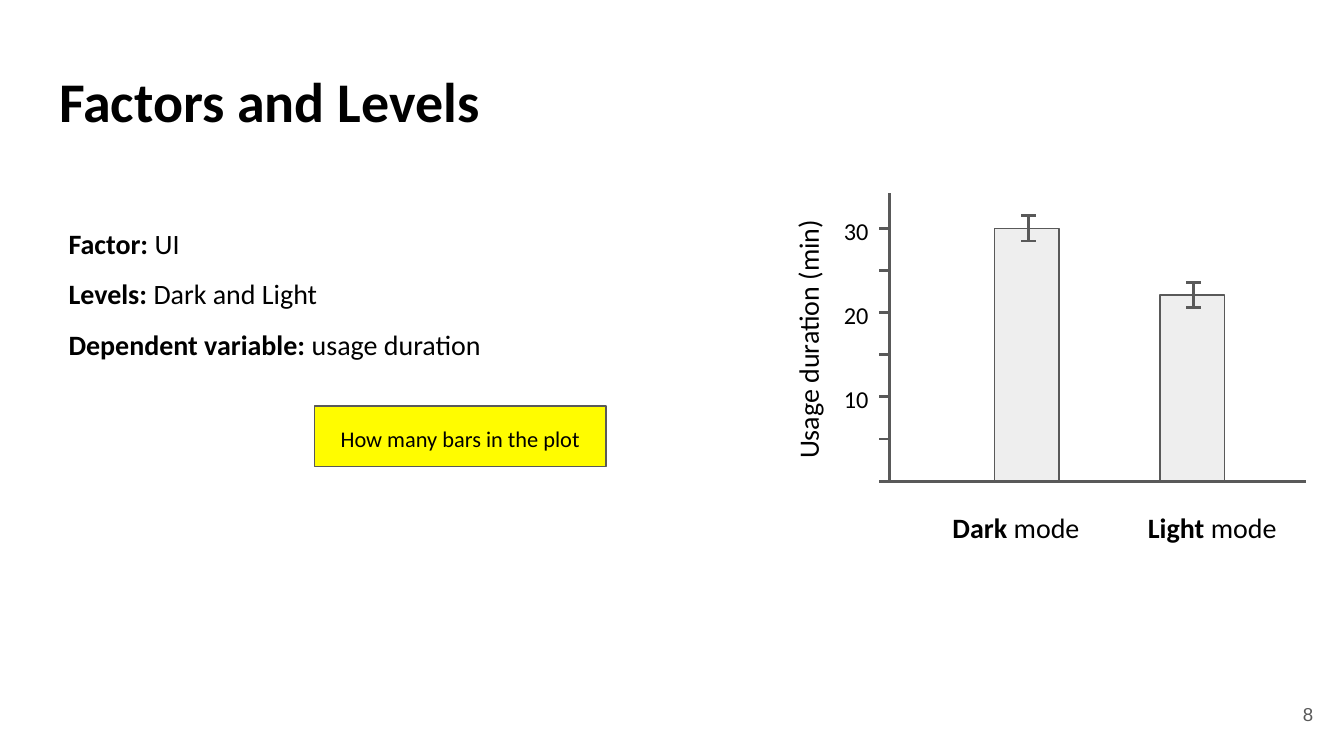
from lxml.etree import SubElement
from pptx import Presentation
from pptx.dml.color import RGBColor
from pptx.enum.shapes import MSO_CONNECTOR, MSO_SHAPE
from pptx.enum.text import MSO_ANCHOR as Anchor, MSO_AUTO_SIZE, PP_ALIGN as Align
from pptx.oxml.ns import qn
from pptx.util import Inches, Pt

TITLE = "Factors and Levels"
FACTS = [
    ("Factor: ", "UI"),
    ("Levels: ", "Dark and Light"),
    ("Dependent variable: ", "usage duration"),
]
QUESTION = "How many bars in the plot"
AXIS_TITLE = "Usage duration (min)"
BARS = [
    {"name": "Dark ", "value": 30, "center": 7.64, "label_center": 7.56},
    {"name": "Light ", "value": 22.1, "center": 8.87, "label_center": 9.02},
]
PAGE = "8"

BLACK, GRAY, BAR_FILL, YELLOW = "000000", "595959", "EEEEEE", "FFFC00"
SLIDE_WIDTH = 10
SLIDE_HEIGHT = SLIDE_WIDTH * 9 / 16
AXIS_X, AXIS_TOP, AXIS_RIGHT, BASE_Y = 6.62, 1.44, 9.72, 3.58
INCHES_PER_MINUTE = 1.88 / 30
MAX_VALUE, TICK_STEP, LABEL_STEP, TICK_LENGTH = 30, 5, 10, 0.08
BAR_WIDTH, ERROR, CAP_HALF = 0.48, 1.5, 0.055


def color(hex_string):
    return RGBColor.from_string(hex_string)


def value_y(value):
    return BASE_Y - value * INCHES_PER_MINUTE


def place(shape, left, top, width, height):
    shape.left, shape.top = Inches(left), Inches(top)
    shape.width, shape.height = Inches(width), Inches(height)


def write(shape, paragraphs, size, align=Align.LEFT, anchor=Anchor.TOP,
          spacing=1.2, after=10, font="Calibri", ink=BLACK):
    frame = shape.text_frame
    frame.word_wrap = True
    frame.auto_size = MSO_AUTO_SIZE.NONE
    frame.vertical_anchor = anchor
    frame.margin_left = frame.margin_right = Inches(0.1)
    frame.margin_top = frame.margin_bottom = Inches(0.1)
    for index, (bold_text, plain_text) in enumerate(paragraphs):
        paragraph = frame.add_paragraph() if index else frame.paragraphs[0]
        properties = paragraph._p.get_or_add_pPr()
        properties.set("marL", "0")
        properties.set("indent", "0")
        SubElement(properties, qn("a:buNone"))
        paragraph.alignment = align
        paragraph.line_spacing = spacing
        paragraph.space_before = Pt(0)
        paragraph.space_after = Pt(after)
        paragraph.font.name = font
        paragraph.font.size = Pt(size)
        paragraph.font.color.rgb = color(ink)
        for text, bold in ((bold_text, True), (plain_text, False)):
            if text:
                run = paragraph.add_run()
                run.text = text
                run.font.bold = bold


def add_text(slide, box, *args, **kwargs):
    shape = slide.shapes.add_textbox(*map(Inches, box))
    write(shape, *args, **kwargs)
    return shape


def add_rectangle(slide, box, fill):
    shape = slide.shapes.add_shape(MSO_SHAPE.RECTANGLE, *map(Inches, box))
    shape.shadow.inherit = False
    shape.fill.solid()
    shape.fill.fore_color.rgb = color(fill)
    shape.line.color.rgb = color(GRAY)
    shape.line.width = Pt(0.75)
    return shape


def add_line(shapes, *points):
    line = shapes.add_connector(MSO_CONNECTOR.STRAIGHT, *map(Inches, points))
    line.line.color.rgb = color(GRAY)
    line.line.width = Pt(1.5)
    SubElement(line._element.spPr, qn("a:effectLst"))


def add_axes(slide):
    add_line(slide.shapes, AXIS_X, AXIS_TOP, AXIS_X, BASE_Y)
    add_line(slide.shapes, AXIS_X, BASE_Y, AXIS_RIGHT, BASE_Y)
    for value in range(0, MAX_VALUE + 1, TICK_STEP):
        y = value_y(value)
        add_line(slide.shapes, AXIS_X, y, AXIS_X - TICK_LENGTH, y)
        if value and value % LABEL_STEP == 0:
            add_text(slide, (5.99, y - 0.2, 0.57, 0.39), [("", str(value))], 13,
                     Align.RIGHT, Anchor.MIDDLE)
    axis_title = add_text(slide, (4.87, 2.3, 2.18, 0.45), [("", AXIS_TITLE)], 15,
                          Align.CENTER)
    axis_title.rotation = 270


def add_bar(slide, bar):
    x, top = bar["center"], value_y(bar["value"])
    add_rectangle(slide, (x - BAR_WIDTH / 2, top, BAR_WIDTH, BASE_Y - top), BAR_FILL)
    high, low = value_y(bar["value"] + ERROR), value_y(bar["value"] - ERROR)
    error_bar = slide.shapes.add_group_shape().shapes
    middle = x + 0.01
    add_line(error_bar, middle, high, middle, low)
    for y in (high, low):
        add_line(error_bar, middle + CAP_HALF, y, middle - CAP_HALF, y)
    add_text(slide, (bar["label_center"] - 0.7, 3.65, 1.4, 0.45),
             [(bar["name"], "mode")], 15, Align.CENTER)


def main():
    presentation = Presentation()
    presentation.slide_width = Inches(SLIDE_WIDTH)
    presentation.slide_height = Inches(SLIDE_HEIGHT)
    slide = presentation.slides.add_slide(presentation.slide_layouts[1])

    title, body = slide.shapes.title, slide.placeholders[1]
    place(title, 0.34, 0.49, 9.32, 0.63)
    write(title, [(TITLE, "")], 30, spacing=0.8, after=0)
    place(body, 0.41, 1.46, 5.97, 1.97)
    write(body, FACTS, 15, spacing=1.5, after=0)

    add_axes(slide)
    for bar in BARS:
        add_bar(slide, bar)

    question = add_rectangle(slide, (2.34, 3.02, 2.17, 0.45), YELLOW)
    write(question, [("", QUESTION)], 12, Align.CENTER, Anchor.MIDDLE,
          spacing=1.15, after=0)
    add_text(slide, (9.27, 5.1, 0.6, 0.43), [("", PAGE)], 10, Align.RIGHT,
             Anchor.MIDDLE, spacing=1.0, after=0, font="Arial", ink=GRAY)

    presentation.save("out.pptx")


if __name__ == "__main__":
    main()
